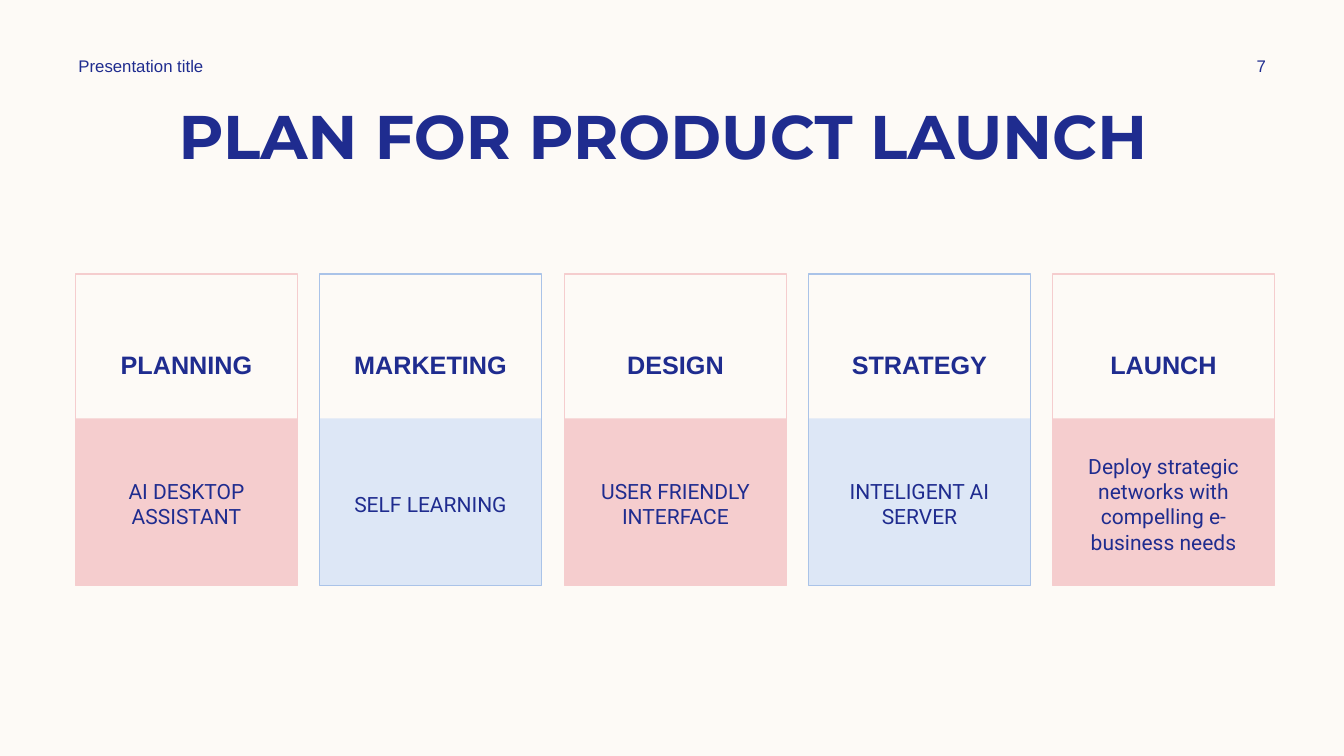
"""Build the product launch plan slide."""
from dataclasses import dataclass

from pptx import Presentation
from pptx.dml.color import RGBColor
from pptx.enum.shapes import MSO_SHAPE
from pptx.enum.text import MSO_ANCHOR, MSO_AUTO_SIZE, PP_ALIGN
from pptx.shapes.autoshape import Shape
from pptx.slide import Slide
from pptx.util import Emu, Pt

RECT = MSO_SHAPE.RECTANGLE
TOP, MIDDLE = MSO_ANCHOR.TOP, MSO_ANCHOR.MIDDLE
LEFT, CENTER = PP_ALIGN.LEFT, PP_ALIGN.CENTER
FIXED = MSO_AUTO_SIZE.NONE

SCALE = 9144
NAVY, CREAM = "1F2C8F", "FDFAF6"
ROSE, SKY, BLUE = "F5CDCE", "DDE7F6", "AAC3E8"
CARD_X, CARD_Y, CARD_W, CARD_H = 75, 272, 220, 309
STEP = 242.3
FILL_Y, FILL_H = 415, 166


@dataclass(frozen=True)
class Box:
    """Hold a place on the slide in px."""
    x: int
    y: int
    w: int
    h: int

    def emu(self) -> tuple[Emu, Emu, Emu, Emu]:
        """Give the four lengths in EMU."""
        return px(self.x), px(self.y), px(self.w), px(self.h)


@dataclass(frozen=True)
class Style:
    """Hold the look of a text."""
    font: str
    size: int
    bold: bool = False
    align: PP_ALIGN = CENTER
    anchor: MSO_ANCHOR = MIDDLE
    inset: int = 5


@dataclass(frozen=True)
class Card:
    """Hold one stage of the plan."""
    head: str
    body: str
    fill: str
    line: str


TITLE = Style("Montserrat", 44, True, anchor=TOP)
HEAD = Style("Arial", 18, True, anchor=TOP, inset=75)
BODY = Style("Roboto", 15)
NOTE = Style("Arial", 12, align=LEFT)
PAGE = Style("Arial", 12)

CARDS = [
    Card("PLANNING", "AI DESKTOP ASSISTANT", ROSE, ROSE),
    Card("MARKETING", "SELF LEARNING", SKY, BLUE),
    Card("DESIGN", "USER FRIENDLY INTERFACE", ROSE, ROSE),
    Card("STRATEGY", "INTELIGENT AI SERVER", SKY, BLUE),
    Card("LAUNCH", "Deploy strategic networks with compelling e-\nbusiness needs",
         ROSE, ROSE),
]


def px(length: int) -> Emu:
    """Turn px into EMU."""
    return Emu(length * SCALE)


def color(code: str) -> RGBColor:
    """Turn a hex string into a colour."""
    return RGBColor.from_string(code)


def write(shape: Shape, text: str, style: Style) -> None:
    """Put styled text into a shape."""
    frame = shape.text_frame
    frame.word_wrap = True
    frame.auto_size = FIXED
    frame.vertical_anchor = style.anchor
    frame.margin_left = frame.margin_right = px(10)
    frame.margin_top, frame.margin_bottom = px(style.inset), px(5)
    para = frame.paragraphs[0]
    para.alignment = style.align
    for row, line in enumerate(text.split("\n")):
        if row:
            para.add_line_break()
        run = para.add_run()
        run.text = line
        run.font.name = style.font
        run.font.size = Pt(style.size)
        run.font.bold = style.bold
        run.font.color.rgb = color(NAVY)


def add_text(slide: Slide, box: Box, text: str, style: Style) -> None:
    """Add a text box."""
    write(slide.shapes.add_textbox(*box.emu()), text, style)


def add_rect(slide: Slide, box: Box, fill: str = "", line: str = "") -> Shape:
    """Add a rectangle with the given fill or outline."""
    shape = slide.shapes.add_shape(RECT, *box.emu())
    shape.shadow.inherit = False
    if fill:
        shape.fill.solid()
        shape.fill.fore_color.rgb = color(fill)
    else:
        shape.fill.background()
    if line:
        shape.line.color.rgb = color(line)
        shape.line.width = Pt(1)
    else:
        shape.line.fill.background()
    return shape


def add_card(slide: Slide, card: Card, x: int) -> None:
    """Add one stage with its heading and text."""
    add_rect(slide, Box(x, FILL_Y, CARD_W, FILL_H), fill=card.fill)
    frame = add_rect(slide, Box(x, CARD_Y, CARD_W, CARD_H), line=card.line)
    write(frame, card.head, HEAD)
    add_text(slide, Box(x + 5, FILL_Y + 10, CARD_W - 10, 150), card.body, BODY)


def main() -> None:
    """Build and save the slide."""
    deck = Presentation()
    deck.slide_width, deck.slide_height = px(1333), px(750)
    slide = deck.slides.add_slide(deck.slide_layouts.get_by_name("Title Only"))
    slide.background.fill.solid()
    slide.background.fill.fore_color.rgb = color(CREAM)
    title = slide.shapes.title
    title.left, title.top, title.width, title.height = Box(83, 92, 1167, 84).emu()
    write(title, "PLAN FOR PRODUCT LAUNCH ", TITLE)
    add_text(slide, Box(68, 50, 350, 30), "Presentation title", NOTE)
    add_text(slide, Box(1197, 50, 108, 30), "7", PAGE)
    for i, card in enumerate(CARDS):
        add_card(slide, card, round(CARD_X + i * STEP))
    deck.save("out.pptx")


if __name__ == "__main__":
    main()
